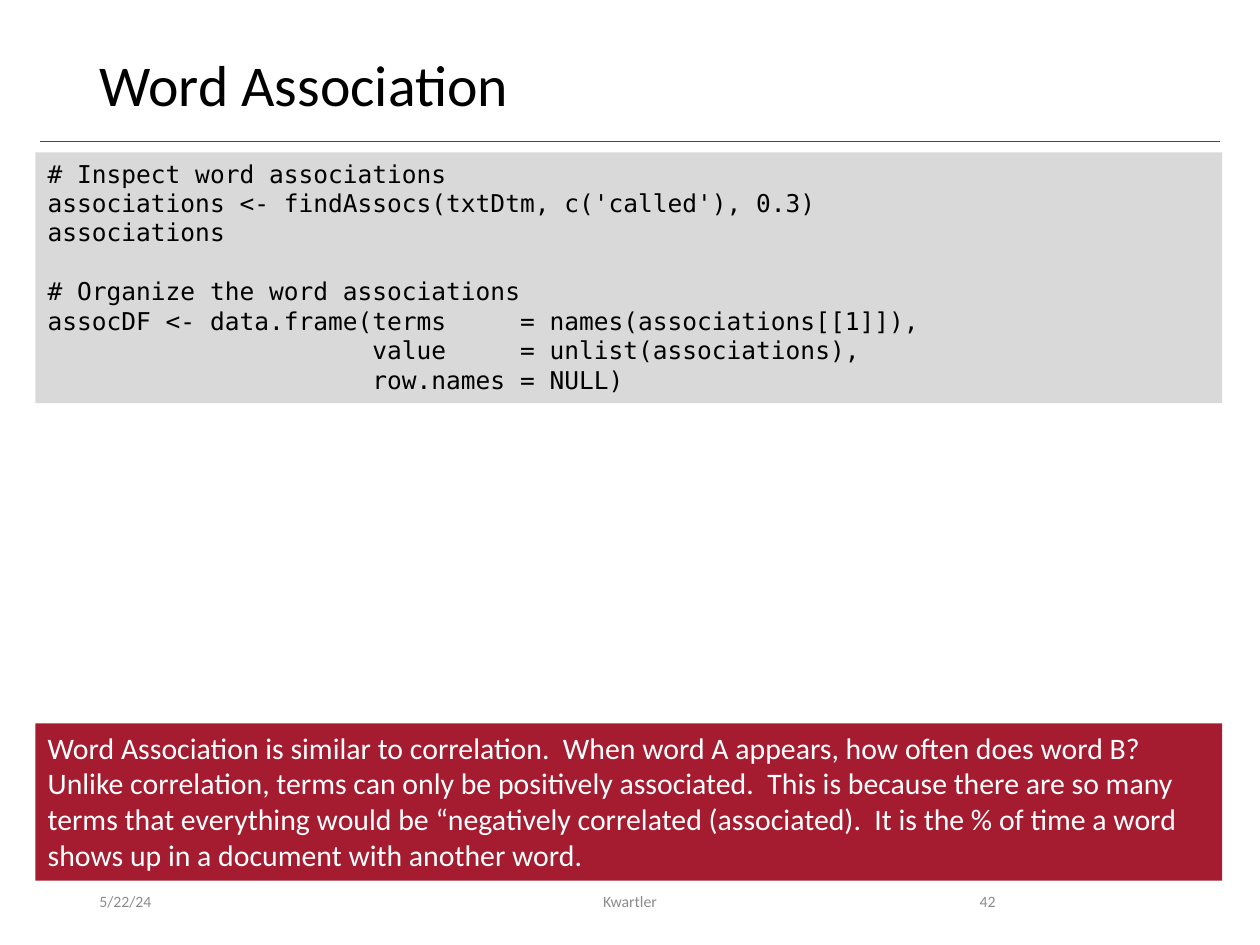
from dataclasses import dataclass

import pptx
import pptx.dml.color
import pptx.enum.shapes
import pptx.enum.text
import pptx.oxml
import pptx.oxml.ns
import pptx.util

RGB = pptx.dml.color.RGBColor
ALIGN = pptx.enum.text.PP_ALIGN
ANCHOR = pptx.enum.text.MSO_ANCHOR
FIT = pptx.enum.text.MSO_AUTO_SIZE

BLACK = RGB(0x00, 0x00, 0x00)
WHITE = RGB(0xFF, 0xFF, 0xFF)
GREY = RGB(0x8C, 0x8C, 0x8C)
LIGHT = RGB(0xD9, 0xD9, 0xD9)
RED = RGB(0xA5, 0x1C, 0x30)

SANS = "Calibri"
MONO = "DejaVu Sans Mono"
SCALE = 9144

CODE = """# Inspect word associations
associations <- findAssocs(txtDtm, c('called'), 0.3)
associations

# Organize the word associations
assocDF <- data.frame(terms     = names(associations[[1]]),
                      value     = unlist(associations),
                      row.names = NULL)"""

NOTE = (
    "Word Association is similar to correlation.  When word A appears, "
    "how often does word B?  Unlike correlation, terms can only be "
    "positively associated.  This is because there are so many terms that "
    "everything would be “negatively correlated (associated).  It is the "
    "% of time a word shows up in a document with another word."
)


@dataclass
class Panel:
    text: str
    top: int
    height: int
    fill: RGB
    color: RGB
    font: str
    size: int


@dataclass
class Footer:
    text: str
    left: int
    width: int
    align: ALIGN


PANELS = [
    Panel(CODE, 121, 199, LIGHT, BLACK, MONO, 14),
    Panel(NOTE, 574, 125, RED, WHITE, SANS, 17),
]

FOOTERS = [
    Footer("5/22/24", 69, 225, ALIGN.LEFT),
    Footer("Kwartler", 331, 338, ALIGN.CENTER),
    Footer("42", 706, 94, ALIGN.RIGHT),
]


def px(count: int) -> pptx.util.Emu:
    return pptx.util.Emu(count * SCALE)


def style(frame, font: str, size: int, color: RGB, align: ALIGN) -> None:
    frame.word_wrap = True
    for para in frame.paragraphs:
        para.alignment = align
        para.font.name = font
        para.font.size = pptx.util.Pt(size)
        para.font.color.rgb = color


def add_title(slide, text: str) -> None:
    title = slide.shapes.title
    title.left, title.top = px(69), px(40)
    title.width, title.height = px(862), px(65)
    frame = title.text_frame
    frame.text = text
    frame.auto_size = FIT.NONE
    frame.vertical_anchor = ANCHOR.TOP
    frame.paragraphs[0].line_spacing = 0.9
    style(frame, SANS, 33, BLACK, ALIGN.LEFT)


def add_rule(slide) -> None:
    rule = slide.shapes.add_connector(
        pptx.enum.shapes.MSO_CONNECTOR.STRAIGHT,
        px(32), px(112), px(968), px(112),
    )
    rule.line.color.rgb = RED
    rule.line.width = pptx.util.Pt(0.5)
    props = rule._element.spPr
    props.append(pptx.oxml.parse_xml(
        f"<a:effectLst {pptx.oxml.ns.nsdecls('a')}/>"
    ))


def add_panel(slide, panel: Panel) -> None:
    shape = slide.shapes.add_shape(
        pptx.enum.shapes.MSO_SHAPE.RECTANGLE,
        px(28), px(panel.top), px(942), px(panel.height),
    )
    shape.shadow.inherit = False
    shape.fill.solid()
    shape.fill.fore_color.rgb = panel.fill
    shape.line.fill.background()
    frame = shape.text_frame
    frame.text = panel.text
    frame.vertical_anchor = ANCHOR.TOP
    frame.auto_size = FIT.SHAPE_TO_FIT_TEXT
    style(frame, panel.font, panel.size, panel.color, ALIGN.LEFT)


def add_footer(slide, footer: Footer) -> None:
    box = slide.shapes.add_textbox(
        px(footer.left), px(695), px(footer.width), px(40)
    )
    frame = box.text_frame
    frame.text = footer.text
    frame.vertical_anchor = ANCHOR.MIDDLE
    style(frame, SANS, 9, GREY, footer.align)


def main() -> None:
    deck = pptx.Presentation()
    deck.slide_width, deck.slide_height = px(1000), px(750)
    slide = deck.slides.add_slide(deck.slide_layouts[5])
    add_rule(slide)
    add_title(slide, "Word Association")
    for panel in PANELS:
        add_panel(slide, panel)
    for footer in FOOTERS:
        add_footer(slide, footer)
    deck.save("out.pptx")


if __name__ == "__main__":
    main()
